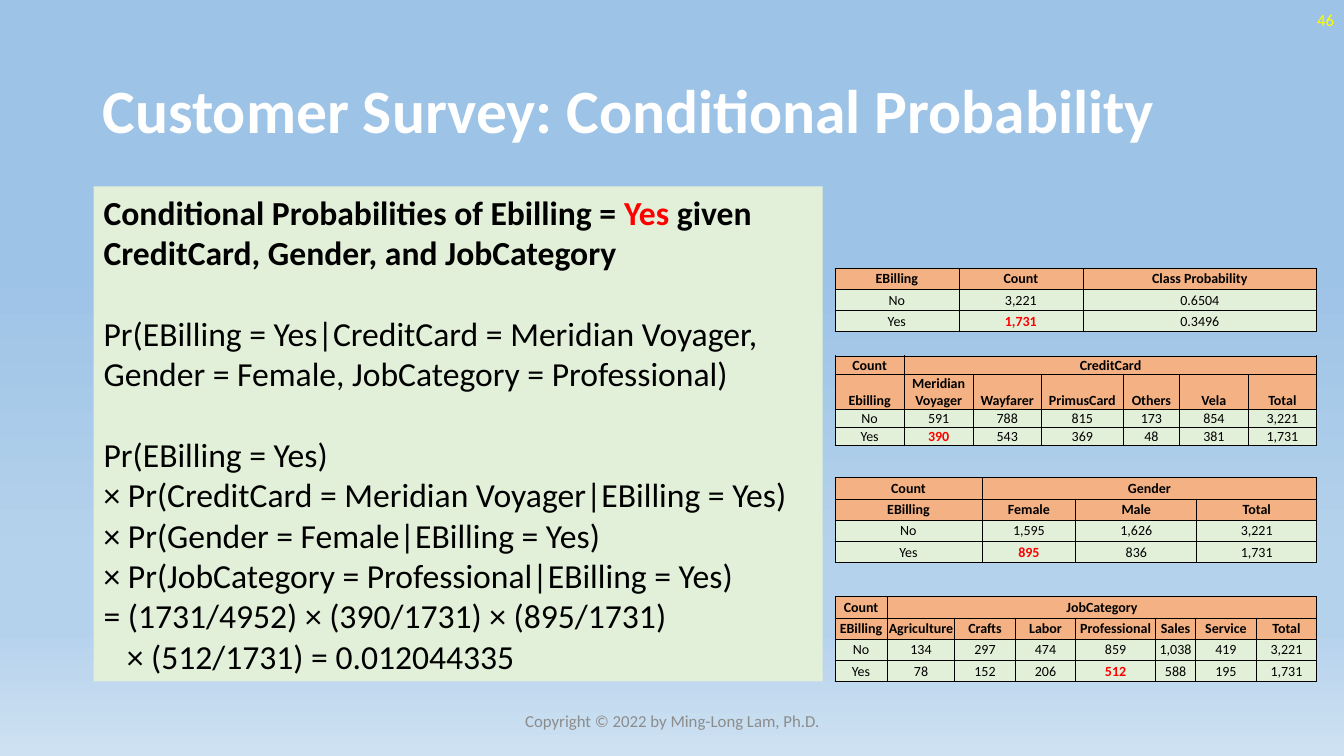
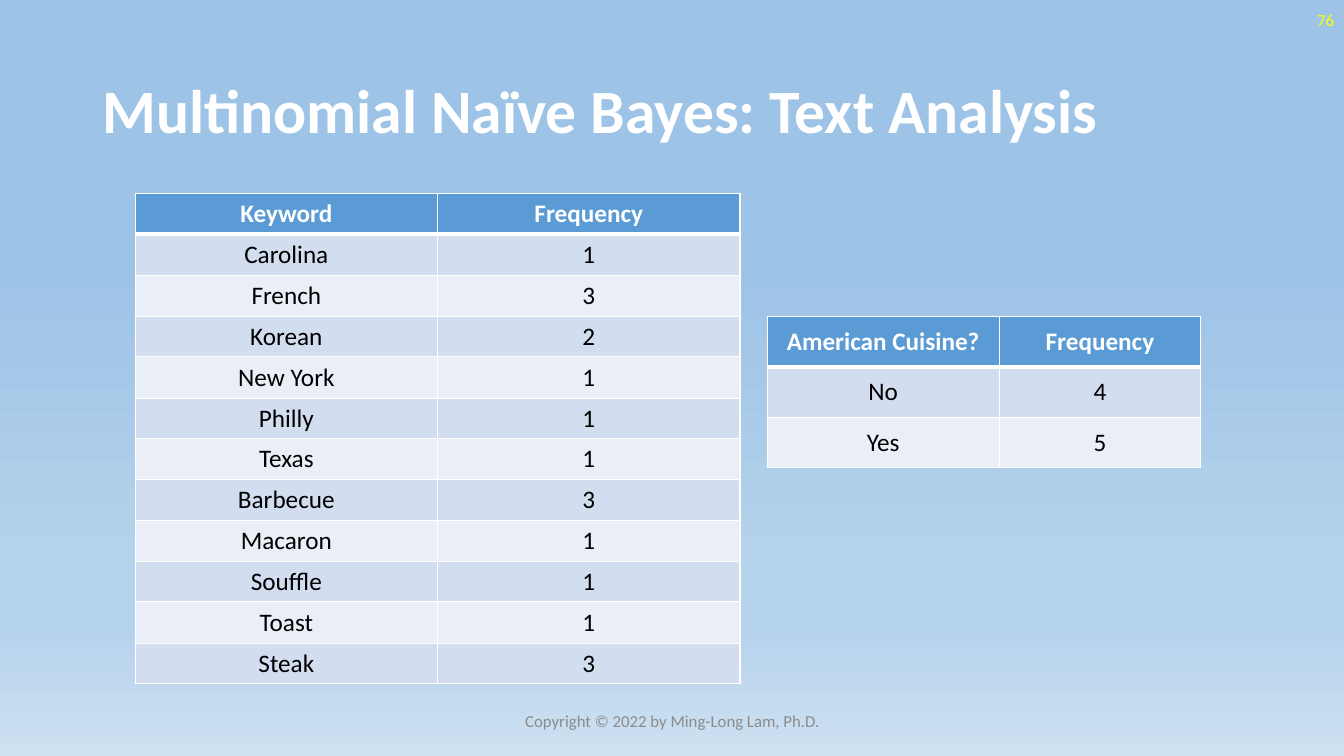
from dataclasses import dataclass
from typing import Any, Optional

from lxml import etree
from pptx import Presentation
from pptx.dml.color import RGBColor
from pptx.enum.text import MSO_ANCHOR, PP_ALIGN
from pptx.oxml.ns import qn
from pptx.slide import Slide
from pptx.util import Emu, Pt

LEFT, CENTER, RIGHT = PP_ALIGN.LEFT, PP_ALIGN.CENTER, PP_ALIGN.RIGHT
MIDDLE, BOTTOM = MSO_ANCHOR.MIDDLE, MSO_ANCHOR.BOTTOM

EMU_PER_PX = 9144
FONT = "Calibri"

WHITE = RGBColor(0xFF, 0xFF, 0xFF)
BLACK = RGBColor(0x00, 0x00, 0x00)
RED = RGBColor(0xFF, 0x00, 0x00)
YELLOW = RGBColor(0xFF, 0xFF, 0x00)
GRAY = RGBColor(0x8C, 0x8C, 0x8C)
PALE_GREEN = RGBColor(0xE2, 0xF0, 0xD9)
ORANGE = RGBColor(0xF4, 0xB1, 0x83)
BLUE = RGBColor(0x5B, 0x9B, 0xD5)
BAND_DARK = RGBColor(0xD2, 0xDE, 0xEF)
BAND_LIGHT = RGBColor(0xEA, 0xEF, 0xF7)
SKY_TOP = RGBColor(0x9D, 0xC3, 0xE6)
SKY_MIDDLE = RGBColor(0xB5, 0xD2, 0xEC)
SKY_BOTTOM = RGBColor(0xCE, 0xE1, 0xF2)
SKY_STOPS = ((35, SKY_TOP), (74, SKY_MIDDLE), (83, SKY_MIDDLE), (100, SKY_BOTTOM))

COPYRIGHT = "Copyright © 2022 by Ming-Long Lam, Ph.D."


@dataclass(frozen=True)
class Box:
    left: int
    top: int
    width: int
    height: int


@dataclass(frozen=True)
class Run:
    text: str
    color: RGBColor = BLACK
    bold: bool = False


@dataclass(frozen=True)
class Line:
    runs: tuple[Run, ...]
    gap: float = 0
    indent: int = 0


@dataclass(frozen=True)
class TextStyle:
    size: int
    align: PP_ALIGN = LEFT
    spacing: Any = None


@dataclass(frozen=True)
class TableStyle:
    size: int
    header_fill: RGBColor
    header_color: RGBColor
    bands: tuple[RGBColor, ...]
    border: RGBColor
    border_pt: float
    rule_pt: float
    insets: tuple[int, int, int, int]


@dataclass(frozen=True)
class Grid:
    left: int
    top: int
    columns: tuple[int, ...]
    heights: tuple[int, ...]
    rows: tuple[tuple[str, ...], ...]
    style: TableStyle
    header_rows: int = 1
    highlight: Optional[tuple[int, int]] = None
    anchor: MSO_ANCHOR = MIDDLE


TITLE_BOX = Box(92, 40, 1150, 145)
NUMBER_BOX = Box(1033, 0, 300, 40)
FOOTER_BOX = Box(442, 695, 450, 40)
FORMULA_BOX = Box(93, 185, 723, 491)

TITLE_STYLE = TextStyle(44, spacing=0.9)
NUMBER_STYLE = TextStyle(12, RIGHT)
FOOTER_STYLE = TextStyle(12, CENTER)
FORMULA_STYLE = TextStyle(24, spacing=Pt(28.8))

COUNT_STYLE = TableStyle(10, ORANGE, BLACK, (PALE_GREEN,), BLACK, 0.5, 0.5, (1, 1, 1, 0))
KEYWORD_STYLE = TableStyle(18, BLUE, WHITE, (BAND_DARK, BAND_LIGHT), WHITE, 1, 3, (10, 5, 10, 5))

FORMULA_LINES = (
    Line((
        Run("Conditional Probabilities of Ebilling = ", bold=True),
        Run("Yes", RED, True),
        Run(" given CreditCard, Gender, and JobCategory", bold=True),
    )),
    Line((Run("Pr(EBilling = Yes|CreditCard = Meridian Voyager, "
              "Gender = Female, JobCategory = Professional)"),), gap=28.8),
    Line((Run("Pr(EBilling = Yes)"),), gap=28.8),
    Line((Run("× Pr(CreditCard = Meridian Voyager|EBilling = Yes)"),)),
    Line((Run("× Pr(Gender = Female|EBilling = Yes)"),)),
    Line((Run("× Pr(JobCategory = Professional|EBilling = Yes)"),)),
    Line((Run("= (1731/4952) × (390/1731) × (895/1731)"),)),
    Line((Run("× (512/1731) = 0.012044335"),), indent=23),
)

SURVEY_GRIDS = (
    Grid(828, 266, (123, 123, 232), (21,) * 3, (
        ("EBilling", "Count", "Class Probability"),
        ("No", "3,221", "0.6504"),
        ("Yes", "1,731", "0.3496"),
    ), COUNT_STYLE, highlight=(2, 1)),
    Grid(828, 353, (69, 68, 68, 81, 56, 68, 68), (18, 35, 18, 18), (
        ("Count", "CreditCard"),
        ("Ebilling", "Meridian Voyager", "Wayfarer", "PrimusCard", "Others", "Vela", "Total"),
        ("No", "591", "788", "815", "173", "854", "3,221"),
        ("Yes", "390", "543", "369", "48", "381", "1,731"),
    ), COUNT_STYLE, 2, (3, 1), BOTTOM),
    Grid(828, 474, (146, 93, 120, 119), (21,) * 4, (
        ("Count", "Gender"),
        ("EBilling", "Female", "Male", "Total"),
        ("No", "1,595", "1,626", "3,221"),
        ("Yes", "895", "836", "1,731"),
    ), COUNT_STYLE, 2, (3, 1)),
    Grid(828, 592, (52, 67, 60, 60, 79, 40, 60, 60), (21,) * 4, (
        ("Count", "JobCategory"),
        ("EBilling", "Agriculture", "Crafts", "Labor", "Professional", "Sales", "Service", "Total"),
        ("No", "134", "297", "474", "859", "1,038", "419", "3,221"),
        ("Yes", "78", "152", "206", "512", "588", "195", "1,731"),
    ), COUNT_STYLE, 2, (3, 4)),
)

CUISINE_GRIDS = (
    Grid(134, 192, (300, 300), (40,) + (41,) * 2 + (40,) + (41, 40) * 4, (
        ("Keyword", "Frequency"),
        ("Carolina", "1"),
        ("French", "3"),
        ("Korean", "2"),
        ("New York", "1"),
        ("Philly", "1"),
        ("Texas", "1"),
        ("Barbecue", "3"),
        ("Macaron", "1"),
        ("Souffle", "1"),
        ("Toast", "1"),
        ("Steak", "3"),
    ), KEYWORD_STYLE),
    Grid(761, 314, (230, 200), (50,) * 3, (
        ("American Cuisine?", "Frequency"),
        ("No", "4"),
        ("Yes", "5"),
    ), KEYWORD_STYLE),
)


def px(length: int) -> Emu:
    return Emu(length * EMU_PER_PX)


def apply_format(target: Any, values: dict[str, Any]) -> None:
    for attribute, value in values.items():
        setattr(target, attribute, value)


def write_run(paragraph: Any, run: Run, size: int) -> None:
    piece = paragraph.add_run()
    piece.text = run.text
    apply_format(piece.font, {"name": FONT, "size": Pt(size), "bold": run.bold})
    piece.font.color.rgb = run.color


def write_lines(slide: Slide, box: Box, lines: tuple[Line, ...], style: TextStyle,
                fill: Optional[RGBColor] = None) -> None:
    panel = slide.shapes.add_textbox(px(box.left), px(box.top), px(box.width), px(box.height))
    if fill is not None:
        panel.fill.solid()
        panel.fill.fore_color.rgb = fill
    frame = panel.text_frame
    apply_format(frame, {"word_wrap": True, "vertical_anchor": MIDDLE})
    for index, line in enumerate(lines):
        paragraph = frame.add_paragraph() if index else frame.paragraphs[0]
        apply_format(paragraph, {"alignment": style.align, "line_spacing": style.spacing})
        if line.gap:
            paragraph.space_before = Pt(line.gap)
        if line.indent:
            paragraph._p.get_or_add_pPr().set("marL", str(px(line.indent)))
        for run in line.runs:
            write_run(paragraph, run, style.size)


def add_border(cell: Any, side: str, color: RGBColor, width: float) -> None:
    edge = etree.SubElement(cell._tc.get_or_add_tcPr(), qn(f"a:ln{side}"), w=str(Pt(width)))
    paint = etree.SubElement(edge, qn("a:solidFill"))
    etree.SubElement(paint, qn("a:srgbClr"), val=str(color))


def style_cell(cell: Any, grid: Grid, row: int) -> None:
    style = grid.style
    below_rule = row == grid.header_rows
    above_rule = row == grid.header_rows - 1
    widths = {
        "L": style.border_pt,
        "R": style.border_pt,
        "T": style.rule_pt if below_rule else style.border_pt,
        "B": style.rule_pt if above_rule else style.border_pt,
    }
    for side, width in widths.items():
        add_border(cell, side, style.border, width)
    band = style.bands[(row - grid.header_rows) % len(style.bands)]
    cell.fill.solid()
    cell.fill.fore_color.rgb = style.header_fill if row < grid.header_rows else band
    margins = ("margin_left", "margin_top", "margin_right", "margin_bottom")
    apply_format(cell, dict(zip(margins, map(px, style.insets))))
    cell.vertical_anchor = grid.anchor


def draw_grid(slide: Slide, grid: Grid) -> None:
    table = slide.shapes.add_table(
        len(grid.heights), len(grid.columns), px(grid.left), px(grid.top),
        px(sum(grid.columns)), px(sum(grid.heights))).table
    for column, width in zip(table.columns, grid.columns):
        column.width = px(width)
    last_column = len(grid.columns) - 1
    for row, (height, texts) in enumerate(zip(grid.heights, grid.rows)):
        table.rows[row].height = px(height)
        for column in range(len(grid.columns)):
            style_cell(table.cell(row, column), grid, row)
        is_header = row < grid.header_rows
        for column, text in enumerate(texts):
            marked = (row, column) == grid.highlight
            color = RED if marked else grid.style.header_color if is_header else BLACK
            paragraph = table.cell(row, column).text_frame.paragraphs[0]
            paragraph.alignment = CENTER
            write_run(paragraph, Run(text, color, is_header or marked), grid.style.size)
        if len(texts) <= last_column:
            table.cell(row, len(texts) - 1).merge(table.cell(row, last_column))


def paint_sky(master: Any) -> None:
    fill = master.background.fill
    fill.gradient()
    fill.gradient_angle = 270
    stops = master.background._cSld.find(f".//{qn('a:gsLst')}")
    for stop in list(stops):
        stops.remove(stop)
    for percent, color in SKY_STOPS:
        stop = etree.SubElement(stops, qn("a:gs"), pos=str(percent * 1000))
        etree.SubElement(stop, qn("a:srgbClr"), val=str(color))


def add_page(deck: Any, title: str, number: int, grids: tuple[Grid, ...]) -> Slide:
    slide = deck.slides.add_slide(deck.slide_layouts[6])
    furniture = (
        (TITLE_BOX, Run(title, WHITE, True), TITLE_STYLE),
        (NUMBER_BOX, Run(str(number), YELLOW), NUMBER_STYLE),
        (FOOTER_BOX, Run(COPYRIGHT, GRAY), FOOTER_STYLE),
    )
    for box, run, style in furniture:
        write_lines(slide, box, (Line((run,)),), style)
    for grid in grids:
        draw_grid(slide, grid)
    return slide


def main() -> None:
    deck = Presentation()
    apply_format(deck, {"slide_width": px(1333), "slide_height": px(750)})
    paint_sky(deck.slide_master)
    survey = add_page(deck, "Customer Survey: Conditional Probability", 46, SURVEY_GRIDS)
    write_lines(survey, FORMULA_BOX, FORMULA_LINES, FORMULA_STYLE, PALE_GREEN)
    add_page(deck, "Multinomial Naïve Bayes: Text Analysis", 76, CUISINE_GRIDS)
    deck.save("out.pptx")


if __name__ == "__main__":
    main()
